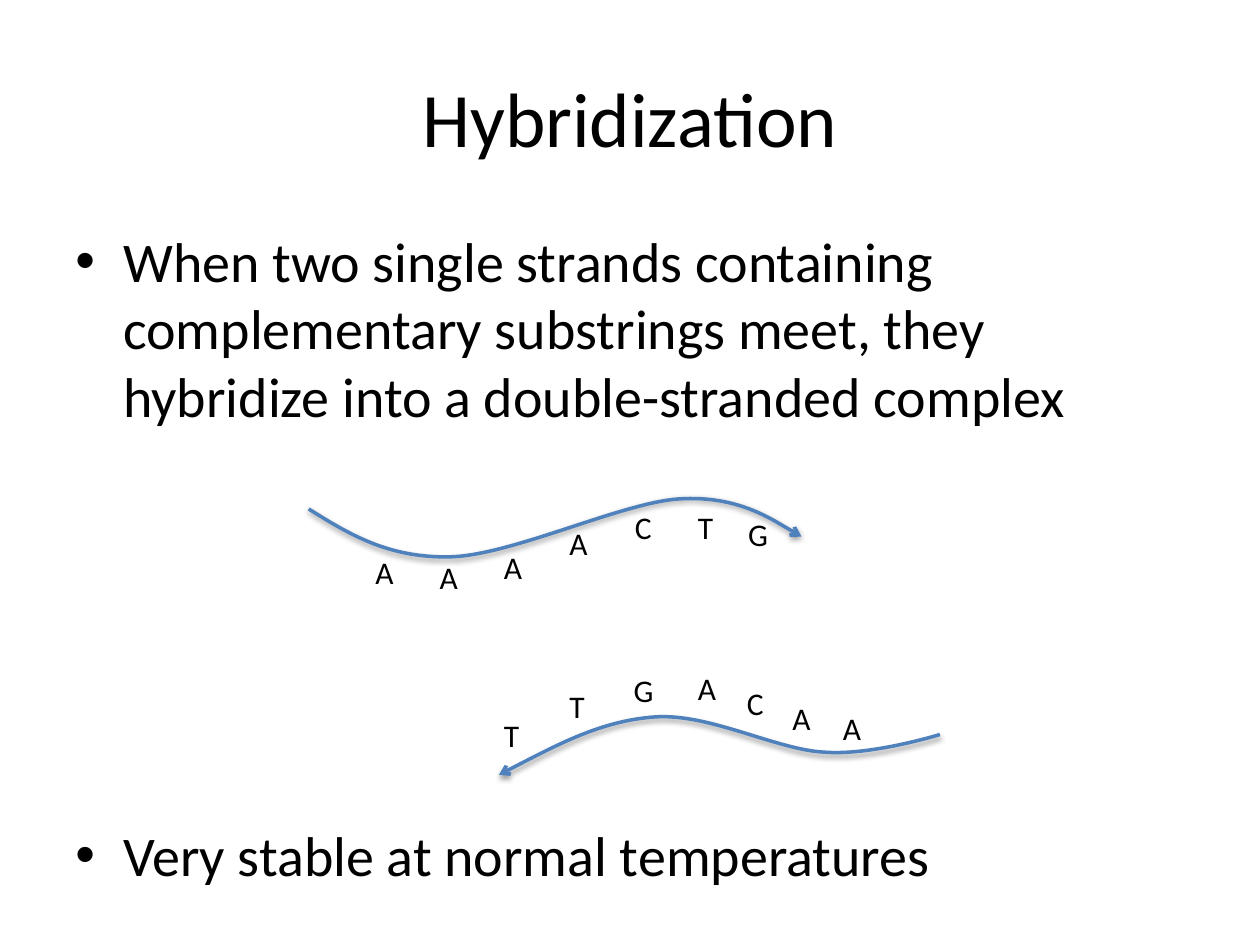
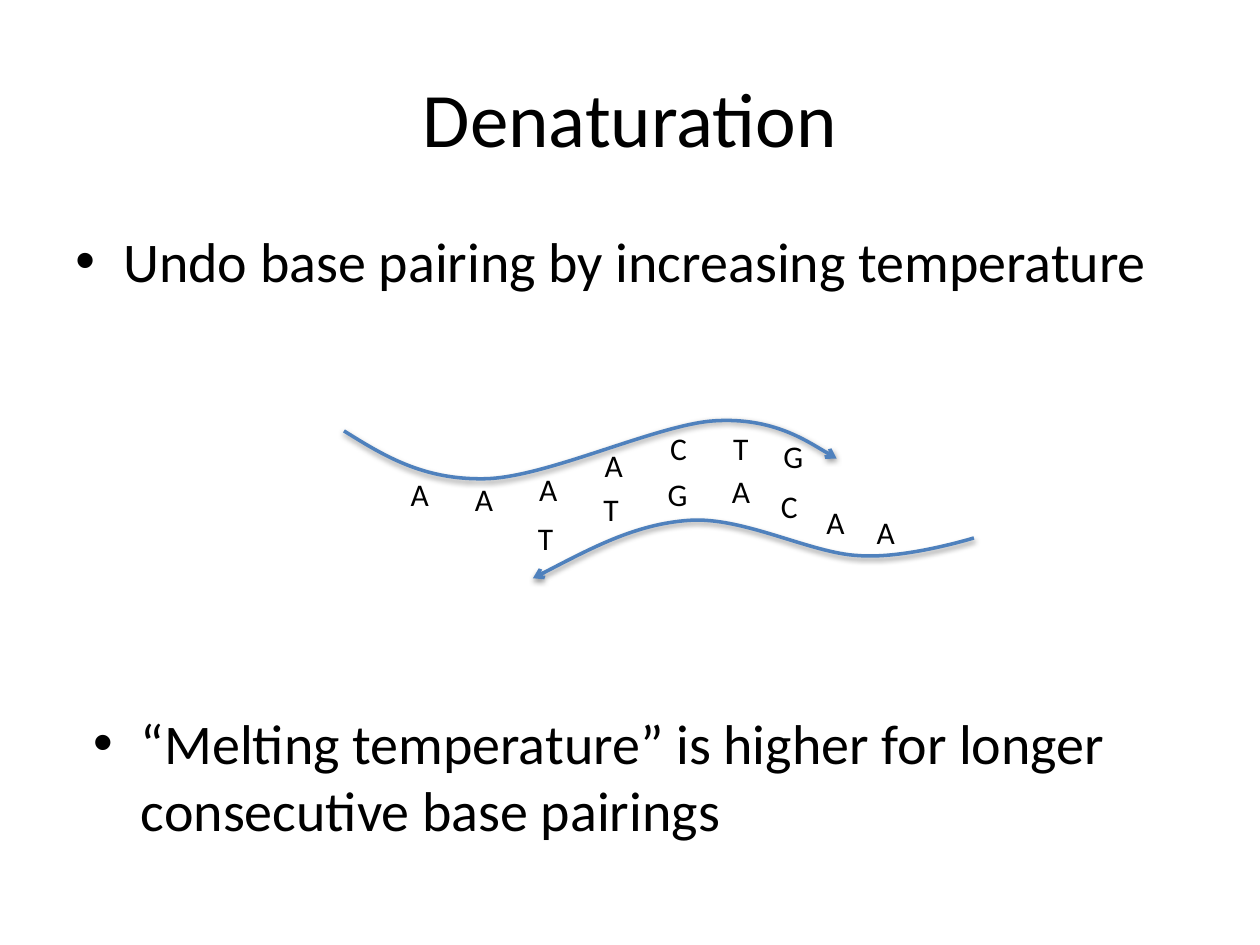
from dataclasses import dataclass

import pptx
import pptx.dml.color
import pptx.enum.text
import pptx.oxml
import pptx.oxml.ns
import pptx.presentation
import pptx.slide
import pptx.text.text
import pptx.util
from lxml import etree
from pptx.util import Inches

COLORS = {"text": "000000", "strand": "4F81BD", "shadow": "000000", "background": "FFFFFF"}
FONT = "Calibri"
LETTER_WIDTHS = {"A": 0.35, "C": 0.34, "G": 0.36, "T": 0.33}
A_NS = pptx.oxml.ns.nsdecls("a")

Point = tuple[float, float]
Box = tuple[float, float, float, float]


@dataclass(frozen=True)
class Base:
    letter: str
    x: float
    y: float


@dataclass(frozen=True)
class Strand:
    start: Point
    curves: tuple[tuple[Point, Point, Point], ...]
    arrow: str
    bases: tuple[Base, ...]
    letter_height: float


@dataclass(frozen=True)
class Bullet:
    text: str
    box: Box


@dataclass(frozen=True)
class StrandSlide:
    title: str
    bullets: tuple[Bullet, ...]
    upper_shift: Point
    lower_shift: Point


UPPER = Strand(
    start=(2.45, 4.04),
    curves=(
        ((2.77, 4.24), (3.08, 4.43), (3.57, 4.42)),
        ((4.06, 4.41), (4.93, 3.99), (5.39, 3.96)),
        ((5.86, 3.93), (6.36, 4.26), (6.36, 4.26)),
    ),
    arrow="tailEnd",
    bases=(
        Base("A", 2.88, 4.34), Base("A", 3.39, 4.38), Base("A", 3.9, 4.3),
        Base("A", 4.42, 4.11), Base("C", 4.94, 3.98), Base("T", 5.44, 3.98),
        Base("G", 5.84, 4.04),
    ),
    letter_height=0.4,
)
LOWER = Strand(
    start=(3.96, 6.15),
    curves=(
        ((4.37, 5.94), (4.77, 5.72), (5.2, 5.69)),
        ((5.63, 5.66), (6.16, 5.95), (6.54, 5.97)),
        ((6.91, 6.0), (7.46, 5.83), (7.46, 5.83)),
    ),
    arrow="headEnd",
    bases=(
        Base("T", 3.9, 5.63), Base("T", 4.42, 5.4), Base("G", 4.93, 5.28),
        Base("A", 5.44, 5.26), Base("C", 5.83, 5.38), Base("A", 6.19, 5.5),
        Base("A", 6.59, 5.58),
    ),
    letter_height=0.37,
)
SLIDES = (
    StrandSlide(
        "Hybridization",
        (
            Bullet(
                "When two single strands containing complementary substrings meet, "
                "they hybridize into a double-stranded complex",
                (0.5, 1.75, 9, 1.79),
            ),
            Bullet("Very stable at normal temperatures", (0.5, 6.46, 9, 0.92)),
        ),
        upper_shift=(0, 0),
        lower_shift=(0, 0),
    ),
    StrandSlide(
        "Denaturation",
        (
            Bullet("Undo base pairing by increasing temperature", (0.5, 1.75, 9, 0.81)),
            Bullet(
                "“Melting temperature” is higher for longer consecutive base pairings",
                (0.64, 5.57, 9, 1.81),
            ),
        ),
        upper_shift=(0.28, -0.62),
        lower_shift=(0.27, -1.56),
    ),
)


def rgb(name: str) -> pptx.dml.color.RGBColor:
    return pptx.dml.color.RGBColor.from_string(COLORS[name])


def add_text(shapes, text: str, box: Box, size: float, wrap: bool = True) -> pptx.text.text.TextFrame:
    tf = shapes.add_textbox(*map(Inches, box)).text_frame
    tf.word_wrap = wrap
    r = tf.paragraphs[0].add_run()
    r.text = text
    r.font.name = FONT
    r.font.size = pptx.util.Pt(size)
    r.font.color.rgb = rgb("text")
    return tf


def add_title(s: pptx.slide.Slide, text: str) -> None:
    tf = add_text(s.shapes, text, (0.5, 0.3, 9, 1.25), 44)
    tf.vertical_anchor = pptx.enum.text.MSO_ANCHOR.MIDDLE
    tf.paragraphs[0].alignment = pptx.enum.text.PP_ALIGN.CENTER


def add_bullet(s: pptx.slide.Slide, bullet: Bullet) -> None:
    p = add_text(s.shapes, bullet.text, bullet.box, 32).paragraphs[0]
    pPr = p._p.get_or_add_pPr()
    pPr.set("marL", str(Inches(0.38)))
    pPr.set("indent", str(Inches(-0.38)))
    pPr.append(pptx.oxml.parse_xml(f'<a:buFont {A_NS} typeface="Arial"/>'))
    pPr.append(pptx.oxml.parse_xml(f'<a:buChar {A_NS} char="•"/>'))


def add_curve(shapes, strand: Strand, shift: Point) -> None:
    def place(point: Point) -> tuple[int, int]:
        return Inches(point[0] + shift[0]), Inches(point[1] + shift[1])

    builder = shapes.build_freeform(*place(strand.start))
    builder.add_line_segments([place(curve[-1]) for curve in strand.curves], close=False)
    sp = builder.convert_to_shape()
    qn = pptx.oxml.ns.qn
    for segment, curve in zip(list(sp._element.iter(qn("a:lnTo"))), strand.curves):
        bezier = etree.Element(qn("a:cubicBezTo"))
        for x, y in map(place, curve):
            etree.SubElement(bezier, qn("a:pt"), x=str(x - sp.left), y=str(y - sp.top))
        segment.getparent().replace(segment, bezier)
    sp.fill.background()
    sp.line.color.rgb = rgb("strand")
    sp.line.width = pptx.util.Pt(2)
    etree.SubElement(sp.line._get_or_add_ln(), qn(f"a:{strand.arrow}"), type="arrow")
    sp.shadow.inherit = False
    sp._element.spPr.find(qn("a:effectLst")).append(pptx.oxml.parse_xml(
        f'<a:outerShdw {A_NS} blurRad="40000" dist="20000" dir="5400000" rotWithShape="0">'
        f'<a:srgbClr val="{COLORS["shadow"]}"><a:alpha val="38000"/></a:srgbClr></a:outerShdw>'
    ))


def add_strand(s: pptx.slide.Slide, strand: Strand, shift: Point) -> None:
    shapes = s.shapes.add_group_shape().shapes
    add_curve(shapes, strand, shift)
    for base in strand.bases:
        box = (base.x + shift[0], base.y + shift[1], LETTER_WIDTHS[base.letter], strand.letter_height)
        tf = add_text(shapes, base.letter, box, 18, wrap=False)
        tf.auto_size = pptx.enum.text.MSO_AUTO_SIZE.SHAPE_TO_FIT_TEXT


def add_slide(prs: pptx.presentation.Presentation, content: StrandSlide) -> None:
    s = prs.slides.add_slide(prs.slide_layouts[6])
    s.background.fill.solid()
    s.background.fill.fore_color.rgb = rgb("background")
    add_title(s, content.title)
    add_strand(s, UPPER, content.upper_shift)
    add_strand(s, LOWER, content.lower_shift)
    for bullet in content.bullets:
        add_bullet(s, bullet)


def main() -> None:
    prs = pptx.Presentation()
    prs.slide_width, prs.slide_height = Inches(10), Inches(7.5)
    for content in SLIDES:
        add_slide(prs, content)
    prs.save("out.pptx")


if __name__ == "__main__":
    main()
